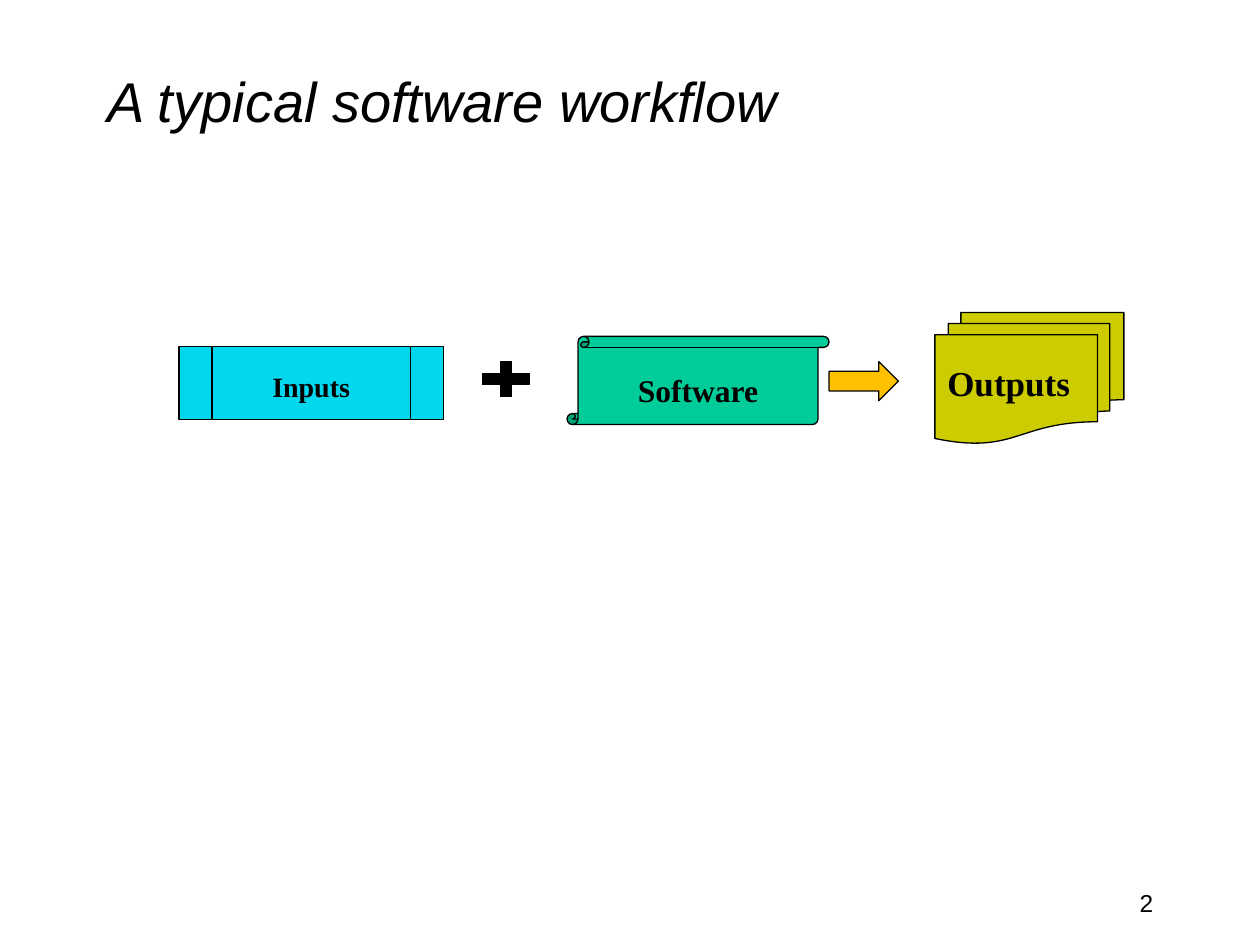
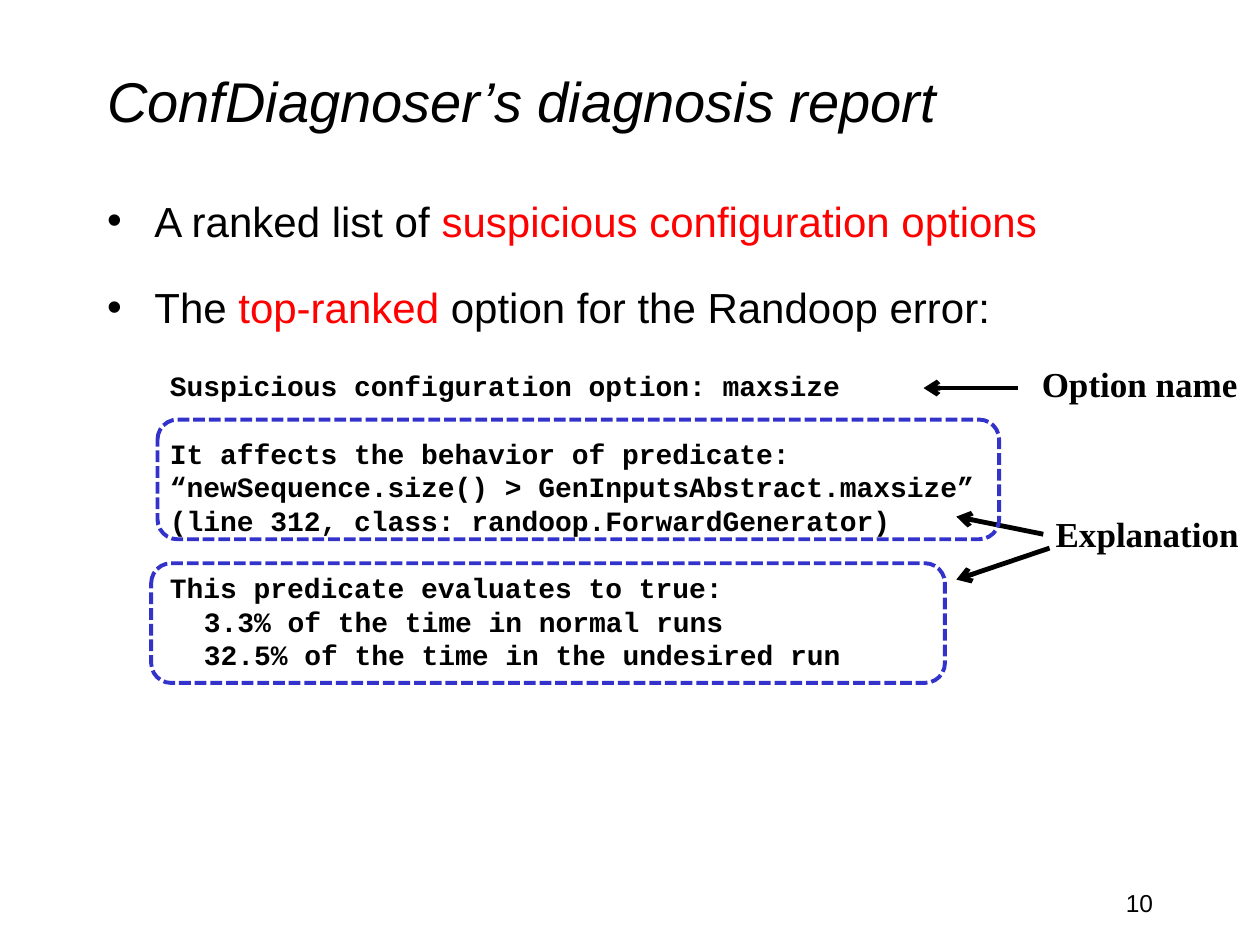
from dataclasses import dataclass
from typing import Optional

from lxml import etree
from pptx import Presentation
from pptx import util as u
from pptx.dml.color import RGBColor
from pptx.enum import dml, shapes, text
from pptx.oxml import ns

PX = 9144  # EMU per px, 100 px to the inch
HEX = {"ink": "000000", "red": "FF0000", "blue": "3333CC", "cyan": "03D7ED",
       "green": "00CC99", "olive": "CCCC00", "gold": "FFC000"}
SANS, SERIF, MONO = "Arial", "Times New Roman", "Courier New"
KIND = shapes.MSO_SHAPE
LEFT, MID, RIGHT = text.PP_ALIGN.LEFT, text.PP_ALIGN.CENTER, text.PP_ALIGN.RIGHT
Box = tuple[int, int, int, int]


@dataclass
class Node:
    kind: KIND
    box: Box
    fill: Optional[str] = None
    label: str = ""
    size: int = 0
    top: int = 5  # inset above the label
    align: text.PP_ALIGN = MID
    line: str = "ink"
    width: float = 0.75
    dash: Optional[dml.MSO_LINE] = None


@dataclass
class Arrow:
    start: tuple[int, int]
    end: tuple[int, int]


@dataclass
class Note:
    label: str
    box: Box


@dataclass
class Code:
    label: str
    gap: bool = False  # one line of space above
    inset: int = 0


def px(*vals: int) -> list[int]:
    return [u.Emu(v * PX) for v in vals]


def rgb(name: str) -> RGBColor:
    return RGBColor.from_string(HEX[name])


# Text
def write(par, words: str, *, size: float, font: str = SANS, color: str = "ink",
          bold: bool = False, italic: bool = False, align=LEFT) -> None:
    par.alignment = align
    run = par.add_run()
    run.text = words
    f = run.font
    f.size, f.name, f.bold, f.italic = u.Pt(size), font, bold, italic
    f.color.rgb = rgb(color)


def place(shape, box: Box) -> None:
    shape.left, shape.top, shape.width, shape.height = px(*box)


def frame(slide, box: Box):
    tf = slide.shapes.add_textbox(*px(*box)).text_frame
    tf.word_wrap = True
    return tf


# Shared parts: title and page number
def start(deck, layout: int, title: str, page: int):
    slide = deck.slides.add_slide(deck.slide_layouts[layout])
    head = slide.shapes.title
    place(head, (75, 17, 850, 125))
    tf = head.text_frame
    tf.vertical_anchor = text.MSO_ANCHOR.MIDDLE
    tf.auto_size = text.MSO_AUTO_SIZE.NONE
    write(tf.paragraphs[0], title, size=32, italic=True)
    foot = frame(slide, (717, 700, 208, 50))
    write(foot.paragraphs[0], str(page), size=14, align=RIGHT)
    return slide


# Shapes and lines
def draw(slide, node: Node) -> None:
    shape = slide.shapes.add_shape(node.kind, *px(*node.box))
    shape.shadow.inherit = False
    if node.fill:
        shape.fill.solid()
        shape.fill.fore_color.rgb = rgb(node.fill)
    else:
        shape.fill.background()
    shape.line.color.rgb = rgb(node.line)
    shape.line.width = u.Pt(node.width)
    if node.dash:
        shape.line.dash_style = node.dash
    if node.label:
        tf = shape.text_frame
        tf.vertical_anchor = text.MSO_ANCHOR.TOP
        tf.margin_top = px(node.top)[0]
        write(tf.paragraphs[0], node.label, size=node.size, font=SERIF,
              bold=True, align=node.align)


def point(slide, arrow: Arrow) -> None:
    link = slide.shapes.add_connector(shapes.MSO_CONNECTOR.STRAIGHT,
                                      *px(*arrow.start, *arrow.end))
    link.line.color.rgb = rgb("ink")
    link.line.width = u.Pt(2.75)
    etree.SubElement(link.line._get_or_add_ln(), ns.qn("a:tailEnd"), type="arrow")
    etree.SubElement(link._element.spPr, ns.qn("a:effectLst"))


def tag(slide, note: Note) -> None:
    tf = frame(slide, note.box)
    write(tf.paragraphs[0], note.label, size=20, font=SERIF, bold=True)


# Slide content
FLOW = [
    Node(KIND.VERTICAL_SCROLL, (450, 267, 208, 70), "green", "Software", 18, 19),
    Node(KIND.RIGHT_ARROW, (658, 287, 55, 31), "gold"),
    Node(KIND.FLOWCHART_MULTIDOCUMENT, (742, 248, 150, 104), "olive", "Outputs",
         20, 21, LEFT),
    Node(KIND.MATH_PLUS, (376, 282, 51, 38), "ink"),
    Node(KIND.FLOWCHART_PREDEFINED_PROCESS, (142, 275, 210, 58), "cyan", "Inputs",
         16, 18),
]
POINTS = [
    [("A ranked list of ", "ink"), ("suspicious configuration options", "red")],
    [("The ", "ink"), ("top-ranked", "red"),
     (" option for the Randoop error:", "ink")],
]
REPORT = [
    Code("Suspicious configuration option: maxsize"),
    Code("It affects the behavior of predicate:", gap=True),
    Code("“newSequence.size() > GenInputsAbstract.maxsize”"),
    Code("(line 312, class: randoop.ForwardGenerator)"),
    Code("This predicate evaluates to true:", gap=True),
    Code("3.3% of the time in normal runs", inset=27),
    Code("32.5% of the time in the undesired run", inset=27),
]
NOTES = [Note("Option name", (817, 283, 233, 44)),
         Note("Explanation", (828, 402, 233, 44))]
ARROWS = [Arrow((808, 308), (733, 308)), Arrow((828, 424), (759, 410)),
          Arrow((833, 435), (759, 460))]
FRAMES = [Node(KIND.ROUNDED_RECTANGLE, box, line="blue", width=2.25,
               dash=dml.MSO_LINE.SQUARE_DOT)
          for box in ((125, 333, 668, 95), (120, 447, 630, 95))]


def flow(deck) -> None:
    slide = start(deck, 5, "A typical software workflow", 2)
    for node in FLOW:
        draw(slide, node)


def report(deck) -> None:
    slide = start(deck, 1, "ConfDiagnoser’s diagnosis report", 10)

    # Bullet list
    body = slide.placeholders[1]
    place(body, (75, 150, 850, 492))
    tf = body.text_frame
    tf.auto_size = text.MSO_AUTO_SIZE.NONE
    for i, parts in enumerate(POINTS):
        par = tf.add_paragraph() if i else tf.paragraphs[0]
        if i:
            par.space_before = u.Pt(20.4)
        for words, color in parts:
            write(par, words, size=24, color=color)

    # Report text
    pitch = u.Pt(19.2)
    tf = frame(slide, (125, 288, 862, 286))
    for i, code in enumerate(REPORT):
        par = tf.add_paragraph() if i else tf.paragraphs[0]
        par.line_spacing = pitch
        if code.gap:
            par.space_before = pitch
        if code.inset:
            par._p.get_or_add_pPr().set("marL", str(code.inset * PX))
        write(par, code.label, size=16, font=MONO, bold=True)

    # Callouts
    for note in NOTES:
        tag(slide, note)
    for arrow in ARROWS:
        point(slide, arrow)
    for node in FRAMES:
        draw(slide, node)


def main() -> None:
    deck = Presentation()
    deck.slide_width, deck.slide_height = px(1000, 750)
    flow(deck)
    report(deck)
    deck.save("out.pptx")


if __name__ == "__main__":
    main()
